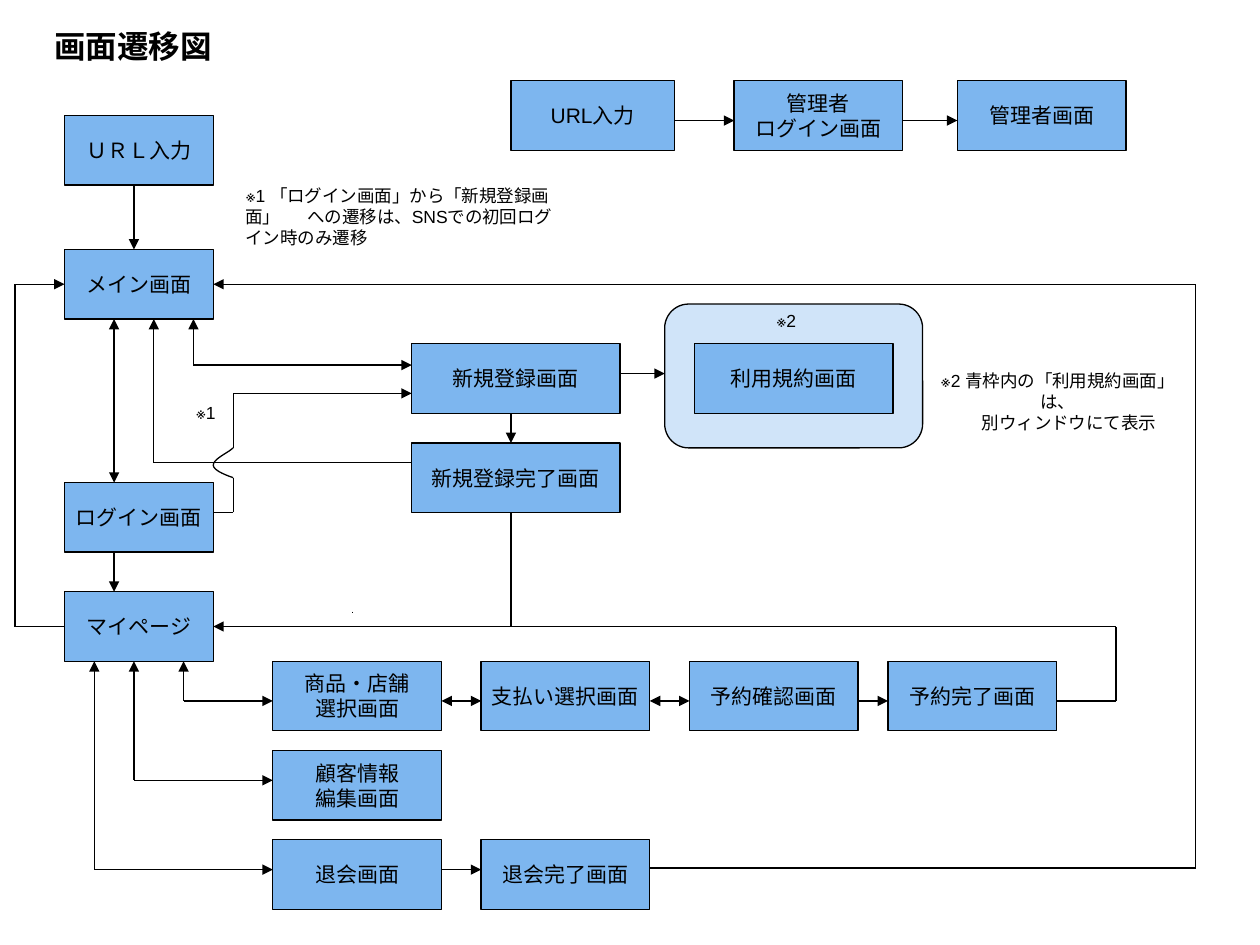
from itertools import pairwise

from lxml import etree
from pptx import Presentation, util as u
from pptx.dml.color import RGBColor
from pptx.enum import shapes, text
from pptx.oxml.ns import qn

THEME = {
    "font": "Arial",
    "ink": RGBColor(0x00, 0x00, 0x00),
    "box": RGBColor(0x7D, 0xB6, 0xEF),
    "title": u.Pt(18), "label": u.Pt(12), "note": u.Pt(10),
    "line": u.Pt(0.75),
}
LEFT, CENTER = text.PP_ALIGN.LEFT, text.PP_ALIGN.CENTER

prs = Presentation()
prs.slide_width, prs.slide_height = u.Inches(10), u.Inches(7.5)
CELL = prs.slide_width / 254   # square grid of 254 columns
TOP = 0.3                      # rows start slightly below the slide's edge


def grid(col, row, *size):
    """Turn grid columns and rows into slide lengths."""
    return [u.Emu(round(n * CELL)) for n in (col, row + TOP, *size)]


def write(tf, lines, size, align=CENTER, bold=False):
    for i, line in enumerate(lines):
        p = tf.paragraphs[0] if i == 0 else tf.add_paragraph()
        p.alignment = align
        r = p.add_run()
        r.text = line
        r.font.name, r.font.size, r.font.bold = THEME["font"], size, bold
        r.font.color.rgb = THEME["ink"]


s = prs.slides.add_slide(prs.slide_layouts[5])

# Title
title = s.shapes.title
title.left, title.top, title.width, title.height = grid(8.4, 3.8, 38.6, 10.2)
tf = title.text_frame
tf.auto_size = text.MSO_AUTO_SIZE.NONE
tf.vertical_anchor = text.MSO_ANCHOR.TOP
write(tf, ["画面遷移図"], THEME["title"], LEFT, bold=True)

# Screens: column, row, width, label lines; the first is the tinted panel
BOX_H = 14
SIDE, STEP = 30, 34
screens = [
    (134, 61, 52, []),
    (13, 23, SIDE, ["ＵＲＬ入力"]),
    (13, 50, SIDE, ["メイン画面"]),
    (13, 97, SIDE, ["ログイン画面"]),
    (13, 119, SIDE, ["マイページ"]),
    (83, 69, 42, ["新規登録画面"]),
    (83, 89, 42, ["新規登録完了画面"]),
    (140, 69, 40, ["利用規約画面"]),
    (55, 133, STEP, ["商品・店舗", "選択画面"]),
    (97, 133, STEP, ["支払い選択画面"]),
    (139, 133, STEP, ["予約確認画面"]),
    (179, 133, STEP, ["予約完了画面"]),
    (55, 151, STEP, ["顧客情報", "編集画面"]),
    (55, 169, STEP, ["退会画面"]),
    (97, 169, STEP, ["退会完了画面"]),
    (103, 16, 33, ["URL入力"]),
    (148, 16, STEP, ["管理者", "ログイン画面"]),
    (193, 16, STEP, ["管理者画面"]),
]
sites = {}   # middle of a side -> shape and connection site
for col, row, w, lines in screens:
    kind = (shapes.MSO_SHAPE.FLOWCHART_PROCESS if lines
            else shapes.MSO_SHAPE.FLOWCHART_ALTERNATE_PROCESS)
    h = BOX_H if lines else 29
    sp = s.shapes.add_shape(kind, *grid(col, row, w, h))
    sp.shadow.inherit = False
    sp.fill.solid()
    sp.fill.fore_color.rgb = THEME["box"]
    sp.line.color.rgb, sp.line.width = THEME["ink"], THEME["line"]
    if not lines:
        clr = sp.fill._xPr.find(qn("a:solidFill"))[0]
        etree.SubElement(clr, qn("a:alpha"), val="36000")
        continue
    tf = sp.text_frame
    tf.word_wrap = False
    tf.vertical_anchor = text.MSO_ANCHOR.MIDDLE
    write(tf, lines, THEME["label"])
    middles = [(col + w / 2, row), (col, row + h / 2),
               (col + w / 2, row + h), (col + w, row + h / 2)]
    sites.update({point: (sp, i) for i, point in enumerate(middles)})

# Transitions: arrowheads (< at the start, > at the end) and corner points
routes = [
    (">", (27, 37), (27, 50)),
    ("<>", (39, 64), (39, 73.3), (83, 73.3)),
    (">", (83, 93), (31, 93), (31, 64)),
    ("<>", (23, 64), (23, 97)),
    (">", (23, 111), (23, 119)),
    (">", (136, 24), (148, 24)),
    (">", (182, 24), (193, 24)),
    ("<>", (89, 141), (97, 141)),
    ("<>", (131, 141), (139, 141)),
    (">", (173, 141), (179, 141)),
    (">", (89, 175), (97, 175)),
    ("<>", (27, 133), (27, 157), (55, 157)),
    ("<>", (19, 133), (19, 175), (55, 175)),
    ("<>", (37, 133), (37, 141), (55, 141)),
    (">", (125, 75), (134, 75)),
    (">", (103, 83), (103, 89)),
    (">", (131, 174.7), (241, 174.7), (241, 57), (43, 57)),
    (">", (213, 141), (225, 141), (225, 126), (43, 126)),
    ("", (103, 103), (103, 126)),
    ("", (43, 103), (47, 103), (47, 96)),
    (">", (47, 90), (47, 79), (83, 79)),
    (">", (13, 126), (3, 126), (3, 57), (13, 57)),
    ("", (71, 123), (71, 123.2)),
]
for heads, *points in routes:
    for start, end in pairwise(points):
        c = s.shapes.add_connector(shapes.MSO_CONNECTOR.STRAIGHT,
                                   *grid(*start), *grid(*end))
        c.line.color.rgb, c.line.width = THEME["ink"], THEME["line"]
        if start in sites:
            c.begin_connect(*sites[start])
        if end in sites:
            c.end_connect(*sites[end])
        ln = c.line._get_or_add_ln()
        if "<" in heads and start == points[0]:
            etree.SubElement(ln, qn("a:headEnd"), type="triangle")
        if ">" in heads and end == points[-1]:
            etree.SubElement(ln, qn("a:tailEnd"), type="triangle")
        etree.SubElement(c._element.spPr, qn("a:effectLst"))

# Bridge where the login route crosses the registration route
bends = [((47, 90), (46, 91), (43, 92.2), (43, 93.5)),
         ((43, 93.5), (43.1, 94.7), (46.2, 95.7), (47, 96))]
curve = []
for bend in bends:
    for t in [i / 10 for i in range(1, 11)]:
        weights = ((1 - t) ** 3, 3 * t * (1 - t) ** 2, 3 * t * t * (1 - t), t ** 3)
        curve.append(grid(*(sum(k * n for k, n in zip(weights, axis))
                            for axis in zip(*bend))))
builder = s.shapes.build_freeform(*grid(47, 90))
builder.add_line_segments(curve, close=False)
bridge = builder.convert_to_shape()
bridge.shadow.inherit = False
bridge.fill.background()
bridge.line.color.rgb, bridge.line.width = THEME["ink"], THEME["line"]

# Notes
notes = [
    ((186, 73, 54.4, 15.2), CENTER,
     ["※2 青枠内の「利用規約画面」は、", "別ウィンドウにて表示"]),
    ((47, 35.8, 68, 15.2), LEFT,
     ["※1 「ログイン画面」から「新規登録画面」\tへの遷移は、SNSでの初回ログイン時のみ遷移"]),
    ((37, 79.5, 12, 6.9), LEFT, ["※1"]),
    ((154, 61, 12, 6.9), LEFT, ["※2"]),
]
for area, align, lines in notes:
    tf = s.shapes.add_textbox(*grid(*area)).text_frame
    tf.word_wrap = True
    write(tf, lines, THEME["note"], align)
    for p in tf.paragraphs[1:]:
        p._p.get_or_add_pPr().set("marL", str(u.Inches(0.18)))
    if "\t" in lines[0]:
        tabs = etree.SubElement(tf.paragraphs[0]._p.get_or_add_pPr(), qn("a:tabLst"))
        etree.SubElement(tabs, qn("a:tab"), pos=str(u.Inches(0.49)), algn="l")

prs.save("out.pptx")
